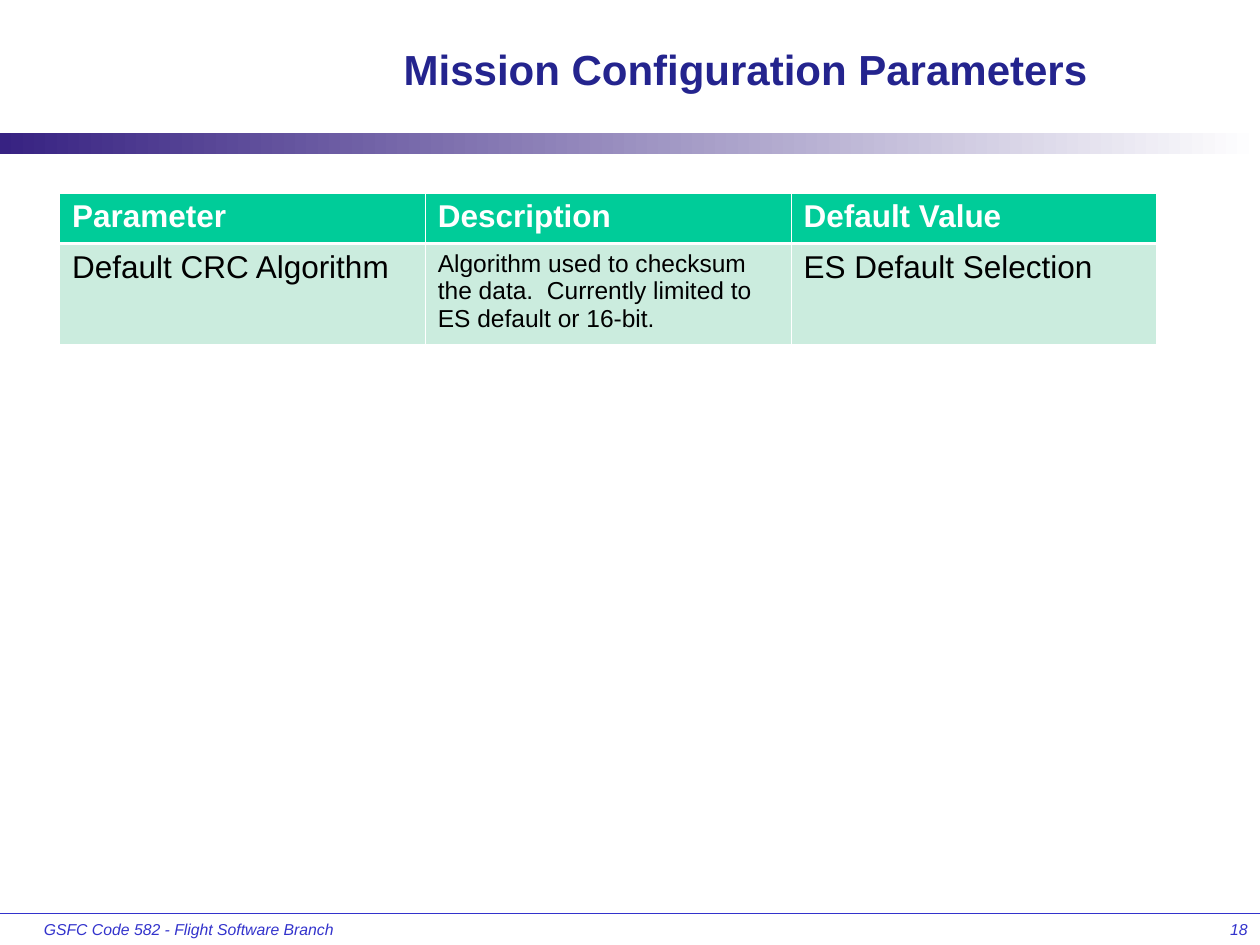
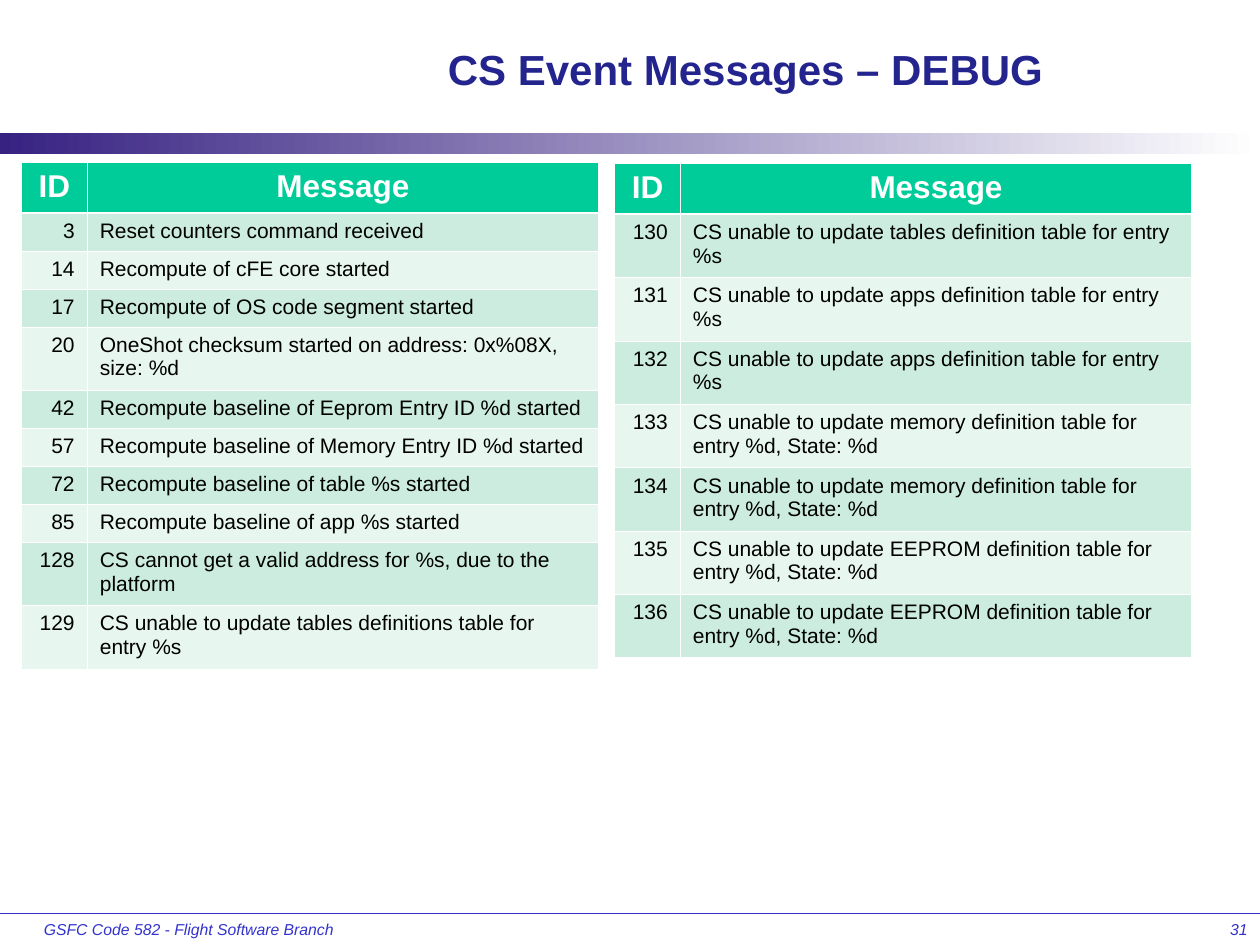
from lxml import etree
from pptx import Presentation
from pptx.dml.color import RGBColor
from pptx.enum import shapes, text
from pptx.oxml import ns
from pptx.util import Pt

FONT = "Arial"
NAVY, BLUE, INDIGO = "24248E", "3333CC", "372282"
WHITE, BLACK = "FFFFFF", "000000"
GREEN, BANDS = "00CC99", ("CBECDE", "E7F6EF")
LEFT, CENTER, RIGHT = text.PP_ALIGN.LEFT, text.PP_ALIGN.CENTER, text.PP_ALIGN.RIGHT

SLIDE_WIDTH, SLIDE_HEIGHT = 720, 540
FOOTER_TOP, FOOTER_HEIGHT = 522, 18
HEADER_HEIGHT = 28.8
THIN, THICK = 0.45, 1.47
LINE_CHARACTERS = 50

EVENTS_LEFT = [
    ("3", "Reset counters command received"),
    ("14", "Recompute of cFE core started"),
    ("17", "Recompute of OS code segment started"),
    ("20", "OneShot checksum started on address: 0x%08X, size: %d"),
    ("42", "Recompute baseline of Eeprom Entry ID %d started"),
    ("57", "Recompute baseline of Memory Entry ID %d started"),
    ("72", "Recompute baseline of table %s started"),
    ("85", "Recompute baseline of app %s started"),
    ("128", "CS cannot get a valid address for %s, due to the platform"),
    ("129", "CS unable to update tables definitions table for entry %s"),
]
EVENTS_RIGHT = [
    ("130", "CS unable to update tables definition table for entry %s"),
    ("131", "CS unable to update apps definition table for entry %s"),
    ("132", "CS unable to update apps definition table for entry %s"),
    ("133", "CS unable to update memory definition table for entry %d, State: %d"),
    ("134", "CS unable to update memory definition table for entry %d, State: %d"),
    ("135", "CS unable to update EEPROM definition table for entry %d, State: %d"),
    ("136", "CS unable to update EEPROM definition table for entry %d, State: %d"),
]


def color(value):
    return RGBColor.from_string(value)


def write(frame, content, size=12, fill=BLACK, bold=False, italic=False, align=LEFT):
    paragraph = frame.paragraphs[0]
    paragraph.text = content
    paragraph.alignment = align
    font = paragraph.font
    font.name, font.size, font.bold, font.italic = FONT, Pt(size), bold, italic
    font.color.rgb = color(fill)


def add_label(slide, content, left, top, width, height, wrap=True,
              anchor=text.MSO_ANCHOR.TOP, **style):
    box = slide.shapes.add_textbox(Pt(left), Pt(top), Pt(width), Pt(height))
    box.text_frame.word_wrap = wrap
    box.text_frame.vertical_anchor = anchor
    write(box.text_frame, content, **style)


def add_footer_rule(slide):
    rule = slide.shapes.add_connector(
        shapes.MSO_CONNECTOR.STRAIGHT, 0, Pt(FOOTER_TOP), Pt(SLIDE_WIDTH), Pt(FOOTER_TOP))
    rule.line.color.rgb = color(BLUE)
    rule.line.width = Pt(0.75)
    etree.SubElement(rule.element.spPr, ns.qn("a:effectLst"))


def add_title_band(slide):
    band = slide.shapes.add_shape(
        shapes.MSO_SHAPE.RECTANGLE, 0, Pt(76.2), Pt(SLIDE_WIDTH), Pt(12))
    band.shadow.inherit = False
    band.line.fill.background()
    band.fill.gradient()
    band.fill.gradient_angle = 0
    for stop, shade in zip(band.fill.gradient_stops, (INDIGO, WHITE)):
        stop.color.rgb = color(shade)


def add_framed_slide(presentation, title, number):
    """Add a slide with the shared rule, band, footer and title."""
    slide = presentation.slides.add_slide(presentation.slide_layouts[6])
    add_footer_rule(slide)
    add_title_band(slide)
    footer = dict(size=9, fill=BLUE, italic=True)
    add_label(slide, "GSFC Code 582 - Flight Software Branch",
              18, FOOTER_TOP, 180, FOOTER_HEIGHT, wrap=False, **footer)
    add_label(slide, number, 570, FOOTER_TOP, 150, FOOTER_HEIGHT, align=RIGHT, **footer)
    add_label(slide, title, 150, 12, 552, 55, anchor=text.MSO_ANCHOR.MIDDLE,
              size=24, fill=NAVY, bold=True, align=CENTER)
    return slide


def set_borders(cell, top, bottom):
    properties = cell._tc.get_or_add_tcPr()
    for side, width in zip("LRTB", (THIN, THIN, top, bottom)):
        line = etree.SubElement(properties, ns.qn(f"a:ln{side}"), w=str(int(Pt(width))))
        fill = etree.SubElement(line, ns.qn("a:solidFill"))
        etree.SubElement(fill, ns.qn("a:srgbClr"), val=WHITE)


def add_table(slide, left, top, widths, heights, rows, sizes, aligns, header_align=LEFT):
    """Add a table with a green header; sizes and aligns go by column."""
    frame = slide.shapes.add_table(len(rows), len(widths), Pt(left), Pt(top),
                                   Pt(sum(widths)), Pt(sum(heights)))
    table = frame.table
    for column, width in zip(table.columns, widths):
        column.width = Pt(width)
    for row, height in zip(table.rows, heights):
        row.height = Pt(height)
    for i, row in enumerate(rows):
        for j, content in enumerate(row):
            cell = table.cell(i, j)
            set_borders(cell, THICK if i == 1 else THIN, THICK if i == 0 else THIN)
            cell.fill.solid()
            if i == 0:
                cell.fill.fore_color.rgb = color(GREEN)
                write(cell.text_frame, content, size=18, fill=WHITE, bold=True,
                      align=header_align)
            else:
                cell.fill.fore_color.rgb = color(BANDS[(i - 1) % 2])
                write(cell.text_frame, content, size=sizes[j], align=aligns[j])


def event_height(message):
    lines = 2 if len(message) > LINE_CHARACTERS else 1
    return 7.2 + 14.5 * lines


def add_event_table(slide, left, top, events):
    heights = [HEADER_HEIGHT] + [event_height(message) for _, message in events]
    add_table(slide, left, top, (37.5, 292.3), heights, [("ID", "Message")] + events,
              sizes=(12, 12), aligns=(RIGHT, LEFT), header_align=CENTER)


def main():
    presentation = Presentation()
    presentation.slide_width = Pt(SLIDE_WIDTH)
    presentation.slide_height = Pt(SLIDE_HEIGHT)

    parameters = add_framed_slide(presentation, "Mission Configuration Parameters", "18")
    add_table(parameters, 34, 110.3, [209] * 3, (HEADER_HEIGHT, 57.6), [
        ("Parameter", "Description", "Default Value"),
        ("Default CRC Algorithm",
         "Algorithm used to checksum the data.  Currently limited to ES default or 16-bit.",
         "ES Default Selection"),
    ], sizes=(18, 14, 18), aligns=[LEFT] * 3)

    messages = add_framed_slide(presentation, "CS Event Messages – DEBUG", "31")
    add_event_table(messages, 12.4, 93, EVENTS_LEFT)
    add_event_table(messages, 351.3, 93.6, EVENTS_RIGHT)

    presentation.save("out.pptx")


if __name__ == "__main__":
    main()
